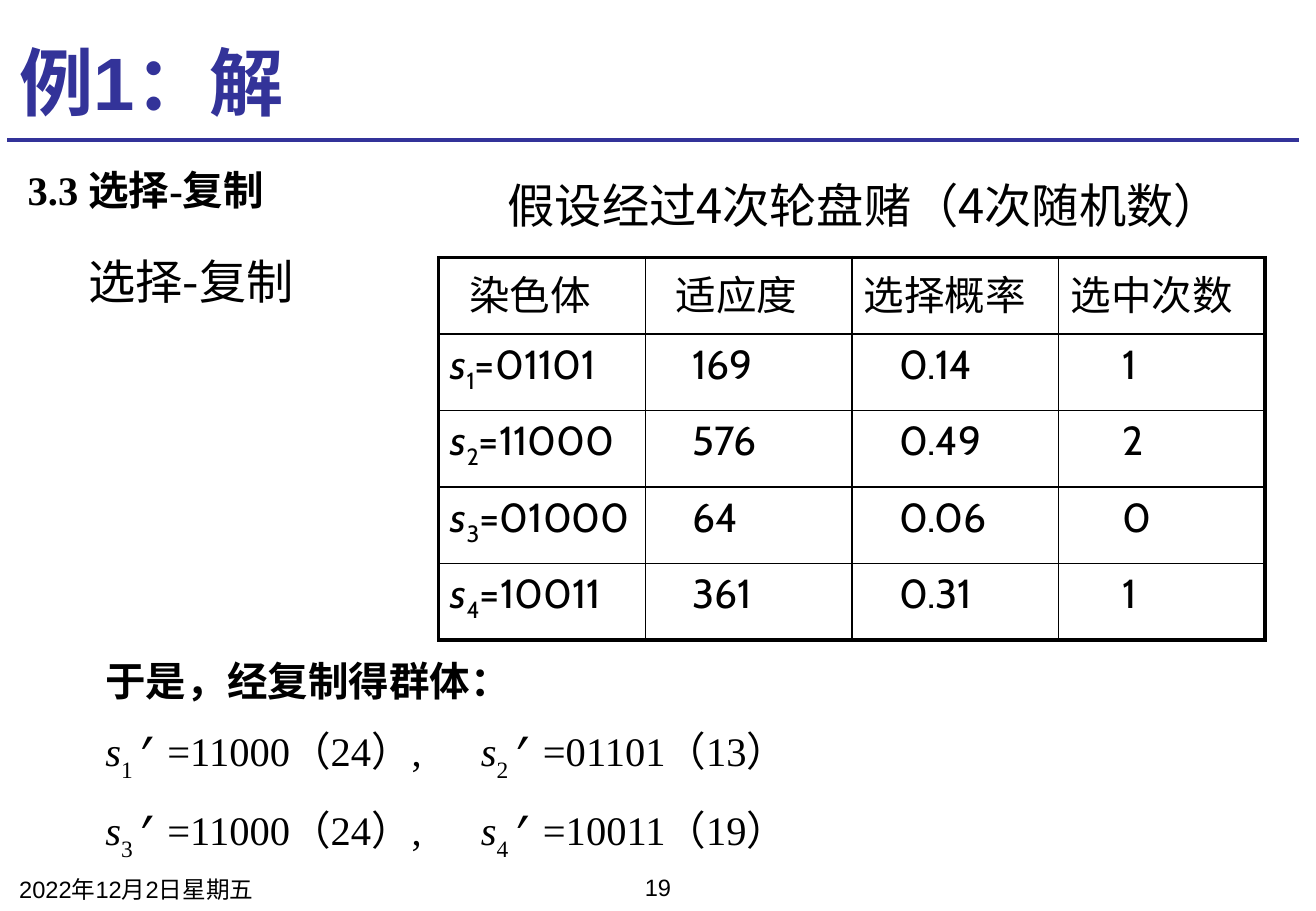
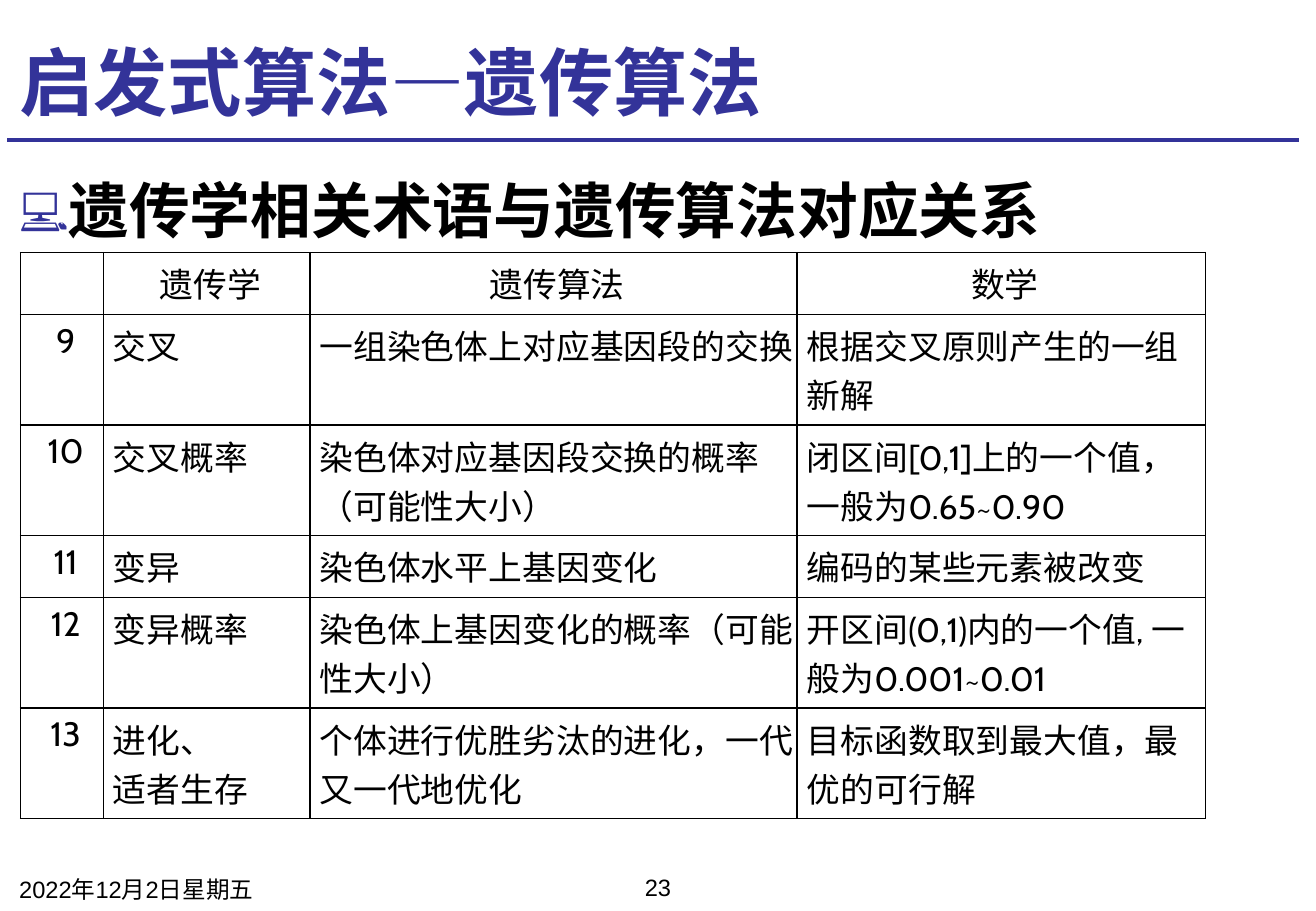
from lxml.etree import SubElement
from pptx import Presentation
from pptx.dml.color import RGBColor
from pptx.enum.shapes import MSO_CONNECTOR as Conn
from pptx.enum.text import MSO_ANCHOR as Anchor, MSO_AUTO_SIZE as Fit, PP_ALIGN as Align
from pptx.oxml.ns import qn
from pptx.util import Inches, Pt

NAVY = RGBColor(0x33, 0x33, 0x99)
BLACK = RGBColor(0, 0, 0)
CJK = "Noto Sans CJK SC"
SERIF = "Times New Roman"
DATE = "2022年12月2日星期五"


class Deck:
    title_style = dict(name="Arial", size=Pt(44), bold=True, color=NAVY)
    body_style = dict(name="Arial", size=Pt(36), bold=True)
    foot_style = dict(name="Arial", size=Pt(14))

    def __init__(self, width, height):
        self.prs = Presentation()
        self.prs.slide_width = Inches(width)
        self.prs.slide_height = Inches(height)
        self.s = None

    def slide(self, layout, title, number):
        self.s = self.prs.slides.add_slide(self.prs.slide_layouts[layout])
        self.rule(0.06, 1.15, 10.69)
        self.place(self.s.shapes.title, 0.06, 0.21, 10.63, 0.87)
        tf = self.s.shapes.title.text_frame
        tf.vertical_anchor = Anchor.BOTTOM
        self.set_text(tf, [title], self.title_style)
        self.text(0.06, 7.15, 2.53, 0.3, [DATE], self.foot_style)
        self.text(4.15, 7.14, 2.53, 0.3, [number], self.foot_style, alignment=Align.CENTER)

    def place(self, sp, x, y, w, h):
        box = dict(left=x, top=y, width=w, height=h)
        for key, value in box.items():
            setattr(sp, key, Inches(value))
        sp.text_frame.auto_size = Fit.NONE

    def rule(self, x1, y, x2):
        line = self.s.shapes.add_connector(
            Conn.STRAIGHT, Inches(x1), Inches(y), Inches(x2), Inches(y))
        line.line.color.rgb = NAVY
        line.line.width = Pt(2.25)
        SubElement(line._element.spPr, qn("a:effectLst"))

    def run(self, p, text, style):
        r = p.add_run()
        r.text = text
        rPr = r._r.get_or_add_rPr()
        for key, value in {"color": BLACK, **style}.items():
            if key == "color":
                r.font.color.rgb = value
            elif key == "baseline":
                rPr.set(key, str(value * 1000))
            else:
                setattr(r.font, key, value)
        SubElement(rPr, qn("a:ea"), typeface=CJK)

    def set_text(self, tf, paragraphs, style, gap=0, tab=None, **fmt):
        for i, runs in enumerate(paragraphs):
            p = tf.paragraphs[0] if i == 0 else tf.add_paragraph()
            layout = dict(alignment=Align.LEFT, space_before=Pt(gap if i else 0))
            for key, value in {**layout, **fmt}.items():
                setattr(p, key, value)
            if tab:
                tabs = SubElement(p._p.get_or_add_pPr(), qn("a:tabLst"))
                SubElement(tabs, qn("a:tab"), pos=str(Inches(tab)), algn="l")
            for text, extra in [(runs, {})] if isinstance(runs, str) else runs:
                self.run(p, text, {**style, **extra})

    def text(self, x, y, w, h, paragraphs, style, **fmt):
        sp = self.s.shapes.add_textbox(Inches(x), Inches(y), Inches(w), Inches(h))
        sp.text_frame.word_wrap = True
        self.set_text(sp.text_frame, paragraphs, style, **fmt)

    def bullet(self, x, y, w, h, text, mark):
        sp = self.s.placeholders[1]
        self.place(sp, x, y, w, h)
        pPr = sp.text_frame.paragraphs[0]._p.get_or_add_pPr()
        pPr.set("marL", str(Inches(0.38)))
        pPr.set("indent", str(-Inches(0.38)))
        SubElement(SubElement(pPr, qn("a:buClr")), qn("a:srgbClr"), val=str(NAVY))
        SubElement(pPr, qn("a:buSzPct"), val="75000")
        SubElement(pPr, qn("a:buChar"), char=mark)
        self.set_text(sp.text_frame, [text], self.body_style, line_spacing=1.1)

    def border(self, cell, widths):
        tcPr = cell._tc.get_or_add_tcPr()
        for side, width in zip("LRTB", widths):
            ln = SubElement(tcPr, qn(f"a:ln{side}"), w=str(Pt(width)))
            SubElement(SubElement(ln, qn("a:solidFill")), qn("a:srgbClr"), val=str(BLACK))

    def table(self, x, y, cols, heights, rows, style, frame, cell_format):
        tbl = self.s.shapes.add_table(
            len(rows), len(cols), Inches(x), Inches(y),
            Inches(sum(cols)), Inches(sum(heights))).table
        tbl.first_row = tbl.horz_banding = False
        for col, width in zip(tbl.columns, cols):
            col.width = Inches(width)
        last_row, last_col = len(rows) - 1, len(cols) - 1
        for i, (row, height) in enumerate(zip(rows, heights)):
            tbl.rows[i].height = Inches(height)
            for j, paragraphs in enumerate(row):
                cell = tbl.cell(i, j)
                edges = (j == 0, j == last_col, i == 0, i == last_row)
                self.border(cell, [frame if edge else 1 for edge in edges])
                cell.fill.background()
                margins, alignment = cell_format(i, j)
                for key, value in margins.items():
                    setattr(cell, f"margin_{key}", Inches(value))
                self.set_text(cell.text_frame, paragraphs, style, alignment=alignment)


def gene(index, drop):
    return [("s", dict(italic=True)), (str(index), dict(baseline=drop))]


def offspring(index, value):
    prime = ("’", dict(name="Courier New", italic=True))
    return gene(index, -30) + [prime, (f" ={value}", {})]


def selection_cell(i, j):
    if i == 0:
        left = (0.25, 0.25, 0.1, 0.1)[j]
    else:
        left = (0.1, 0.39, 0.39, 0.53)[j]
    return dict(left=left, right=0.05), Align.LEFT


def terms_cell(i, j):
    centred = i == 0 or j == 0
    return dict(left=0.08, right=0.02), Align.CENTER if centred else Align.LEFT


def selection_slide(deck):
    deck.slide(5, "例1：解", "19")
    deck.text(0.13, 1.31, 10.56, 0.5, ["3.3 选择-复制"],
              dict(name=SERIF, size=Pt(24), bold=True))
    heading = dict(name=CJK, size=Pt(28))
    deck.text(0.63, 2.03, 2.33, 0.57, ["选择-复制"], heading)
    deck.text(4.08, 1.4, 6.46, 0.57, ["假设经过4次轮盘赌（4次随机数）"], heading)

    population = [
        ("01101", "169", "0.14", "1"),
        ("11000", "576", "0.49", "2"),
        ("01000", "64", "0.06", "0"),
        ("10011", "361", "0.31", "1"),
    ]
    rows = [[["染色体"], ["适应度"], ["选择概率"], ["选中次数"]]]
    for n, (code, *values) in enumerate(population, 1):
        rows.append([[gene(n, -25) + [(f"={code}", {})]], *([v] for v in values)])
    deck.table(3.61, 2.12, [1.7] * 4, [0.63] * 5, rows,
               dict(name="Cabin", size=Pt(24)), 2.25, selection_cell)

    comma = [(",\t", {})]
    result = [
        [("于是，经复制得群体：", dict(bold=True))],
        offspring(1, "11000（24）") + comma + offspring(2, "01101（13）"),
        offspring(3, "11000（24）") + comma + offspring(4, "10011（19）"),
    ]
    deck.text(0.77, 5.27, 6.36, 1.85, result, dict(name=SERIF, size=Pt(24)),
              gap=6, tab=3.09, line_spacing=1.2)


def terms_slide(deck):
    deck.slide(1, "启发式算法—遗传算法", "23")
    deck.bullet(0.06, 1.31, 10.63, 5.76, "遗传学相关术语与遗传算法对应关系", "💻")
    terms = [
        ("", "遗传学", "遗传算法", "数学"),
        ("9", "交叉", "一组染色体上对应基因段的交换", "根据交叉原则产生的一组新解"),
        ("10", "交叉概率", "染色体对应基因段交换的概率（可能性大小）",
         "闭区间[0,1]上的一个值，一般为0.65~0.90"),
        ("11", "变异", "染色体水平上基因变化", "编码的某些元素被改变"),
        ("12", "变异概率", "染色体上基因变化的概率（可能性大小）",
         "开区间(0,1)内的一个值, 一般为0.001~0.01"),
        ("13", "进化、\n适者生存", "个体进行优胜劣汰的进化，一代又一代地优化",
         "目标函数取到最大值，最优的可行解"),
    ]
    rows = [[text.split("\n") if text else [] for text in row] for row in terms]
    one_line, two_lines = 0.51, 0.91
    heights = [one_line, two_lines, two_lines, one_line, two_lines, two_lines]
    deck.table(0.17, 2.08, [0.68, 1.7, 4.01, 3.36], heights, rows,
               dict(name="Cabin", size=Pt(20)), 1, terms_cell)


def main():
    deck = Deck(10.83, 7.5)
    selection_slide(deck)
    terms_slide(deck)
    deck.prs.save("out.pptx")


if __name__ == "__main__":
    main()
